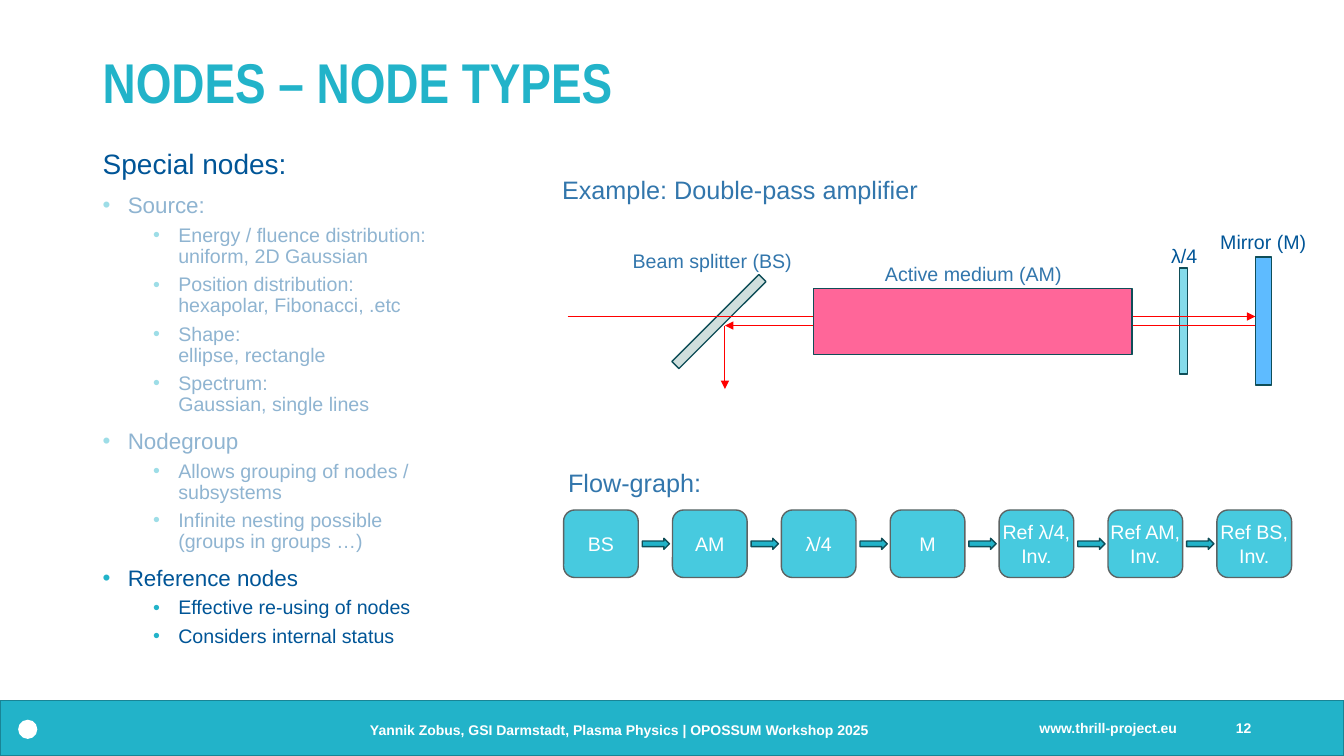
"""Build the slide on special node types with the double-pass amplifier example."""
import lxml.etree
import pptx
import pptx.dml.color
import pptx.enum.shapes
import pptx.enum.text
import pptx.oxml
import pptx.oxml.ns
import pptx.util

Inches = pptx.util.Inches
Pt = pptx.util.Pt
RGBColor = pptx.dml.color.RGBColor
SHAPE = pptx.enum.shapes.MSO_SHAPE
ALIGN = pptx.enum.text.PP_ALIGN
MIDDLE = pptx.enum.text.MSO_ANCHOR.MIDDLE
qn = pptx.oxml.ns.qn

TEAL = RGBColor(0x22, 0xB3, 0xC9)
FOOTER_EDGE = RGBColor(0x19, 0x84, 0x95)
WHITE = RGBColor(0xFF, 0xFF, 0xFF)
NAVY = RGBColor(0x00, 0x55, 0x97)
BLUE = RGBColor(0x32, 0x76, 0xAC)
DARK_TEAL = RGBColor(0x0F, 0x4E, 0x58)
GLASS = RGBColor(0xCF, 0xDF, 0xDD)
WAVEPLATE = RGBColor(0x84, 0xDB, 0xEA)
MIRROR = RGBColor(0x5E, 0xBB, 0xFF)
MEDIUM = RGBColor(0xFF, 0x66, 0x99)
BEAM = RGBColor(0xFF, 0x00, 0x00)
NODE = RGBColor(0x47, 0xCA, 0xDF)
NODE_EDGE = RGBColor(0x5D, 0x63, 0x63)

TOPICS = [
    ("Source:", ["Energy / fluence distribution: uniform, 2D Gaussian",
                 "Position distribution: \nhexapolar, Fibonacci, .etc",
                 "Shape: \nellipse, rectangle",
                 "Spectrum: \nGaussian, single lines"]),
    ("Nodegroup", ["Allows grouping of nodes / subsystems",
                   "Infinite nesting possible\n(groups in groups …)"]),
    ("Reference nodes", ["Effective re-using of nodes", "Considers internal status"]),
]
FLOW = ["BS", "AM", "λ/4", "M", "Ref λ/4,\nInv.", "Ref AM,\nInv.", "Ref BS,\nInv."]
NODE_PITCH = 1.08


def add_run(paragraph, text, size, color, bold=False, font="Arial"):
    """Append one formatted run to a paragraph."""
    run = paragraph.add_run()
    run.text = text
    run.font.name = font
    run.font.size = Pt(size)
    run.font.bold = bold
    run.font.color.rgb = color


def add_lines(paragraph, text, size, color):
    """Append text whose line feeds become line breaks."""
    for number, line in enumerate(text.split("\n")):
        if number:
            paragraph.add_line_break()
        add_run(paragraph, line, size, color)


def add_block(slide, kind, box, fill, edge=None, opacity=None, rotation=0):
    """Draw a filled preset shape and return it."""
    block = slide.shapes.add_shape(kind, *map(Inches, box))
    block.shadow.inherit = False
    block.rotation = rotation
    block.fill.solid()
    block.fill.fore_color.rgb = fill
    if opacity is not None:
        color = block.fill._xPr.find(qn("a:solidFill"))[0]
        lxml.etree.SubElement(color, qn("a:alpha")).set("val", str(opacity * 1000))
    if edge is None:
        block.line.fill.background()
    else:
        block.line.color.rgb = edge
        block.line.width = Pt(1)
    return block


def add_label(slide, box, text, size, color, align=ALIGN.CENTER, wrap=False):
    """Place a single-line label."""
    label = slide.shapes.add_textbox(*map(Inches, box))
    label.text_frame.word_wrap = wrap
    paragraph = label.text_frame.paragraphs[0]
    paragraph.alignment = align
    add_run(paragraph, text, size, color)
    return label


def add_footer_text(slide, box, text, align=ALIGN.LEFT):
    """Place a bold white text on the footer bar."""
    label = add_label(slide, box, text, 10, WHITE, align, wrap=True)
    frame = label.text_frame
    frame.vertical_anchor = MIDDLE
    frame.paragraphs[0].runs[0].font.bold = True
    if align == ALIGN.RIGHT:
        frame.margin_right = 0
    else:
        frame.margin_left = 0


def add_title(slide, text):
    """Place the slide title."""
    title = slide.shapes.add_textbox(Inches(0.92), Inches(0.4), Inches(11.5), Inches(0.89))
    title.text_frame.word_wrap = True
    title.text_frame.vertical_anchor = MIDDLE
    paragraph = title.text_frame.paragraphs[0]
    paragraph.line_spacing = 0.9
    add_run(paragraph, text, 40, TEAL, True, "Arial Narrow")


def add_bullet(frame, text, size, level):
    """Append a bulleted paragraph at the given level."""
    paragraph = frame.add_paragraph()
    paragraph.level = level
    paragraph.line_spacing = 0.9
    paragraph.space_before = Pt(5 if level else 10)
    properties = paragraph._p.get_or_add_pPr()
    properties.set("marL", str(Inches(0.75 if level else 0.25)))
    properties.set("indent", str(Inches(-0.25)))
    bullet_color = lxml.etree.SubElement(properties, qn("a:buClr"))
    lxml.etree.SubElement(bullet_color, qn("a:srgbClr")).set("val", str(TEAL))
    lxml.etree.SubElement(properties, qn("a:buFont")).set("typeface", "Arial")
    lxml.etree.SubElement(properties, qn("a:buChar")).set("char", "•")
    add_lines(paragraph, text, size, NAVY)


def add_outline(slide):
    """Place the list of special nodes."""
    outline = slide.shapes.add_textbox(Inches(0.92), Inches(1.44), Inches(4.06), Inches(5.26))
    frame = outline.text_frame
    frame.word_wrap = True
    frame.paragraphs[0].line_spacing = 0.9
    add_run(frame.paragraphs[0], "Special nodes:", 20, NAVY)
    for topic, details in TOPICS:
        add_bullet(frame, topic, 16, 0)
        for detail in details:
            add_bullet(frame, detail, 14, 1)


def add_beam(slide, start, end):
    """Draw a red beam ending in an arrowhead."""
    beam = slide.shapes.add_connector(
        pptx.enum.shapes.MSO_CONNECTOR.STRAIGHT, *map(Inches, start + end))
    beam.line.color.rgb = BEAM
    beam.line.width = Pt(0.75)
    lxml.etree.SubElement(beam.line._get_or_add_ln(), qn("a:tailEnd")).set("type", "triangle")
    lxml.etree.SubElement(beam._element.spPr, qn("a:effectLst"))


def add_amplifier(slide):
    """Draw the double-pass amplifier with its labels."""
    add_label(slide, (5.46, 1.68, 3.76, 0.4), "Example: Double-pass amplifier", 18, BLUE)
    add_block(slide, SHAPE.RECTANGLE, (6.52, 3.14, 1.22, 0.1), GLASS, DARK_TEAL, rotation=315)
    add_block(slide, SHAPE.RECTANGLE, (11.7, 2.66, 0.08, 1.05), WAVEPLATE, DARK_TEAL)
    add_block(slide, SHAPE.RECTANGLE, (12.45, 2.55, 0.16, 1.27), MIRROR, DARK_TEAL)
    add_beam(slide, (5.63, 3.14), (12.45, 3.14))
    add_beam(slide, (12.45, 3.23), (7.19, 3.23))
    add_beam(slide, (7.19, 3.23), (7.19, 3.86))
    add_block(slide, SHAPE.RECTANGLE, (8.07, 2.86, 3.16, 0.66), MEDIUM, DARK_TEAL)
    add_label(slide, (6.17, 2.42, 1.79, 0.34), "Beam splitter (BS)", 14, BLUE)
    add_label(slide, (8.67, 2.55, 1.97, 0.34), "Active medium (AM)", 14, BLUE)
    add_label(slide, (11.51, 2.37, 0.47, 0.34), "λ/4", 14, NAVY)
    add_label(slide, (12, 2.23, 1.06, 0.34), "Mirror (M)", 14, NAVY)


def add_flow_graph(slide):
    """Draw the chain of nodes joined by arrows."""
    add_label(slide, (5.53, 4.59, 1.53, 0.4), "Flow-graph:", 18, BLUE)
    for position, name in enumerate(FLOW):
        left = 5.59 + position * NODE_PITCH
        node = add_block(slide, SHAPE.ROUNDED_RECTANGLE, (left, 5.06, 0.74, 0.67), NODE, NODE_EDGE)
        frame = node.text_frame
        frame.word_wrap = False
        frame.margin_left = frame.margin_right = 0
        frame.vertical_anchor = MIDDLE
        frame.paragraphs[0].alignment = ALIGN.CENTER
        add_lines(frame.paragraphs[0], name, 14, WHITE)
        if position < len(FLOW) - 1:
            add_block(slide, SHAPE.RIGHT_ARROW, (left + 0.78, 5.34, 0.27, 0.11), TEAL, DARK_TEAL)


def main():
    """Assemble and save the slide."""
    deck = pptx.Presentation()
    deck.slide_width = Inches(13.33)
    deck.slide_height = Inches(7.5)
    slide = deck.slides.add_slide(deck.slide_layouts[6])
    add_block(slide, SHAPE.RECTANGLE, (0, 6.95, 13.33, 0.55), TEAL, FOOTER_EDGE)
    add_footer_text(slide, (3.67, 7.04, 6.5, 0.4),
                    "Yannik Zobus, GSI Darmstadt, Plasma Physics | OPOSSUM Workshop 2025")
    add_footer_text(slide, (10.31, 7.02, 1.6, 0.4), "www.thrill-project.eu")
    add_title(slide, "NODES – NODE TYPES")
    add_footer_text(slide, (11.86, 7.02, 0.55, 0.4), "12", ALIGN.RIGHT)
    add_outline(slide)
    add_block(slide, SHAPE.OVAL, (0.18, 7.14, 0.19, 0.19), WHITE)
    for veil in ((0.52, 1.83, 4.46, 2.33), (0.74, 4.27, 4.46, 1.35)):
        add_block(slide, SHAPE.RECTANGLE, veil, WHITE, WHITE, opacity=56)
    add_amplifier(slide)
    add_flow_graph(slide)
    deck.save("out.pptx")


if __name__ == "__main__":
    main()
